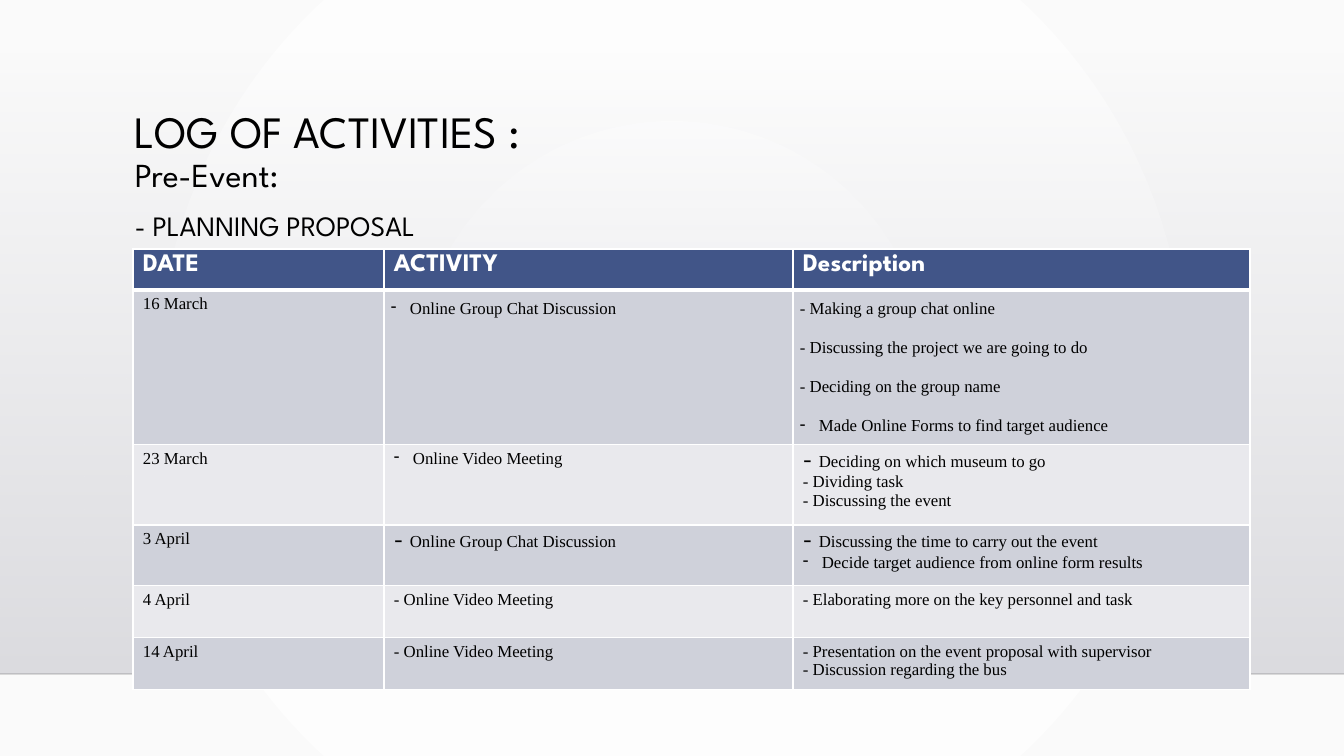
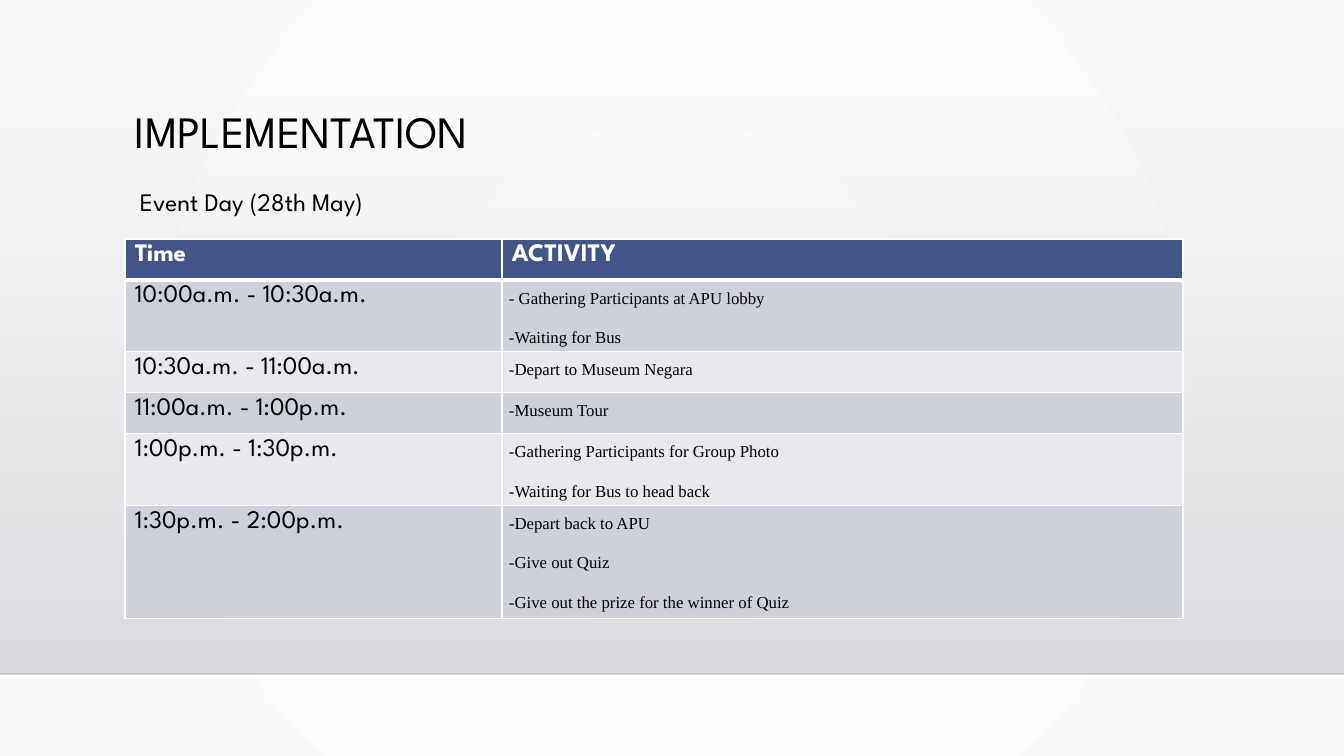
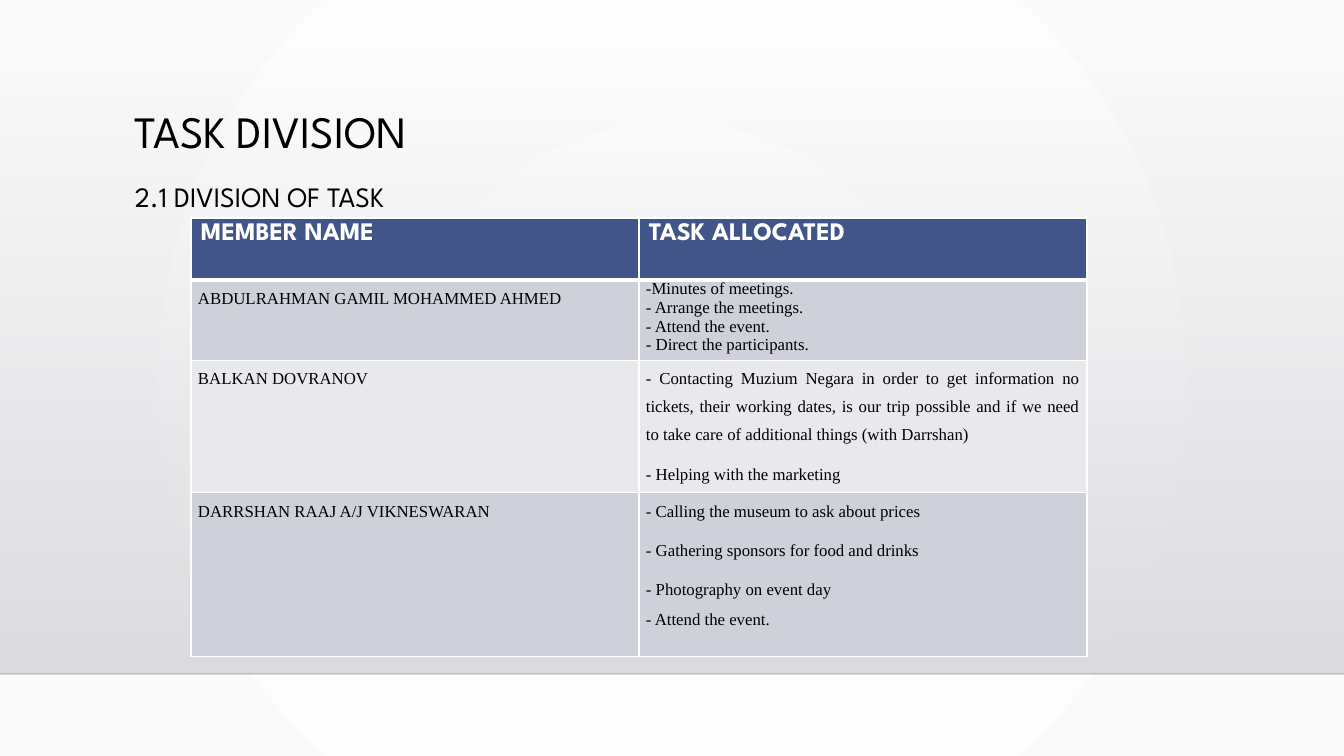
from collections import namedtuple

from lxml import etree
from pptx import Presentation
from pptx.dml.color import RGBColor
from pptx.enum.shapes import MSO_CONNECTOR, MSO_SHAPE
from pptx.enum.text import MSO_ANCHOR, PP_ALIGN
from pptx.oxml.ns import qn
from pptx.util import Emu, Pt

RECTANGLE = MSO_SHAPE.RECTANGLE
STRAIGHT = MSO_CONNECTOR.STRAIGHT
TOP = MSO_ANCHOR.TOP
JUSTIFY = PP_ALIGN.JUSTIFY

WHITE = RGBColor(0xFF, 0xFF, 0xFF)
BLACK = RGBColor(0x00, 0x00, 0x00)
PAPER = RGBColor(0xFA, 0xFA, 0xFA)
BAND_TOP = RGBColor(0xDC, 0xDC, 0xE0)
BAND_BOTTOM = RGBColor(0xDE, 0xDE, 0xE2)
FLOOR_LINE = RGBColor(0x00, 0x00, 0x01)
HEADER_BLUE = RGBColor(0x41, 0x55, 0x88)
ROW_DARK = RGBColor(0xCF, 0xD1, 0xDA)
ROW_LIGHT = RGBColor(0xE9, 0xE9, 0xED)

DISPLAY = "League Spartan"
SERIF = "Times New Roman"
SLIDE_WIDTH, SLIDE_HEIGHT = 1344, 756
BAND_Y, FLOOR_Y = 51, 674
TITLE_BOX = (125, 105, 1058, 116)

Cell = namedtuple("Cell", "lines tight")


def px(length):
    return Emu(round(length * 914400 / 100.8))


def set_alpha(color_element, percent):
    etree.SubElement(color_element, qn("a:alpha"), val=str(percent * 1000))


def set_gradient(fill, start, end):
    fill.gradient()
    for stop, color, position in zip(fill.gradient_stops, (start, end), (0, 1)):
        stop.color.rgb = color
        stop.position = position


def write_line(paragraph, text, size=12, font=SERIF, color=BLACK, bold=False,
               spacing=None, after=None, align=None, hanging=0, lead=""):
    if spacing:
        paragraph.line_spacing = spacing
    if after:
        paragraph.space_after = Pt(after)
    if align:
        paragraph.alignment = align
    if hanging:
        properties = paragraph._p.get_or_add_pPr()
        properties.set("marL", str(px(hanging)))
        properties.set("indent", str(-px(hanging)))
        etree.SubElement(properties, qn("a:buChar"), char="-")
    pieces = [(lead, DISPLAY, 18)] if lead else []
    for words, typeface, points in pieces + [(text, font, size)]:
        run = paragraph.add_run()
        run.text = words
        run.font.name = typeface
        run.font.size = Pt(points)
        run.font.bold = bold
        run.font.color.rgb = color


def write_lines(frame, lines):
    for index, (text, style) in enumerate(lines):
        paragraph = frame.add_paragraph() if index else frame.paragraphs[0]
        write_line(paragraph, text, **style)


def add_text(slide, box, lines):
    frame = slide.shapes.add_textbox(*map(px, box)).text_frame
    frame.word_wrap = True
    frame.vertical_anchor = TOP
    write_lines(frame, lines)


def set_master_background(master):
    set_gradient(master.background.fill, WHITE, PAPER)
    linear = master.element.find(".//" + qn("p:bg")).find(".//" + qn("a:lin"))
    circle = etree.Element(qn("a:path"), path="circle")
    etree.SubElement(circle, qn("a:fillToRect"), l="50000", t="50000", r="50000", b="50000")
    linear.getparent().replace(linear, circle)


def add_backdrop(slide):
    band = slide.shapes.add_shape(
        RECTANGLE, 0, px(BAND_Y), px(SLIDE_WIDTH), px(FLOOR_Y - BAND_Y))
    band.shadow.inherit = False
    band.line.fill.background()
    set_gradient(band.fill, BAND_TOP, BAND_BOTTOM)
    band.fill.gradient_angle = 270
    set_alpha(band._element.spPr.find(".//" + qn("a:srgbClr")), 0)

    floor = slide.shapes.add_connector(
        STRAIGHT, 0, px(FLOOR_Y), px(SLIDE_WIDTH), px(FLOOR_Y))
    floor.line.color.rgb = FLOOR_LINE
    floor.line.width = Pt(1)
    properties = floor._element.spPr
    set_alpha(properties.find(".//" + qn("a:srgbClr")), 20)
    etree.SubElement(properties, qn("a:effectLst"))


def set_borders(cell, top, bottom):
    properties = cell._tc.get_or_add_tcPr()
    for side, width in (("L", 1), ("R", 1), ("T", top), ("B", bottom)):
        border = etree.SubElement(properties, qn("a:ln" + side), w=str(Pt(width)))
        solid = etree.SubElement(border, qn("a:solidFill"))
        etree.SubElement(solid, qn("a:srgbClr"), val=str(WHITE))


def row_fill(row):
    if row == 0:
        return HEADER_BLUE
    return ROW_DARK if row % 2 else ROW_LIGHT


def add_log_table(slide, left, top, widths, heights, rows):
    table = slide.shapes.add_table(
        len(heights), len(widths), px(left), px(top),
        px(sum(widths)), px(sum(heights))).table
    table.first_row = False
    table.horz_banding = False
    for column, width in zip(table.columns, widths):
        column.width = px(width)
    for row, height in zip(table.rows, heights):
        row.height = px(height)
    for r, contents in enumerate(rows):
        for c, content in enumerate(contents):
            cell = table.cell(r, c)
            set_borders(cell, 3 if r == 1 else 1, 3 if r == 0 else 1)
            cell.fill.solid()
            cell.fill.fore_color.rgb = row_fill(r)
            side, edge = (7, 0) if content.tight else (10, 5)
            cell.margin_left = cell.margin_right = px(side)
            cell.margin_top = cell.margin_bottom = px(edge)
            write_lines(cell.text_frame, content.lines)


TITLE = dict(size=32, font=DISPLAY, spacing=0.9)
SUBTITLE = dict(TITLE, size=24)
SECTION = dict(size=20, font=DISPLAY, spacing=1.2)
DISPLAY_18 = dict(size=18, font=DISPLAY)
HEADER = dict(DISPLAY_18, color=WHITE, bold=True)
PLAIN = {}
LOOSE = dict(spacing=1.5, after=8, align=JUSTIFY)
BULLET = dict(hanging=19)
LOOSE_BULLET = dict(LOOSE, **BULLET)
BIG_DASH = dict(lead="- ")


def styled(style, *texts, tight=False):
    return Cell([(text, style) for text in texts], tight)


def plain(*texts, tight=False):
    return styled(PLAIN, *texts, tight=tight)


def loose(*texts):
    return styled(LOOSE, *texts, tight=True)


def header_row(*labels):
    return [styled(HEADER, label) for label in labels]


def start_slide(prs, *title_lines):
    slide = prs.slides.add_slide(prs.slide_layouts[6])
    add_backdrop(slide)
    add_text(slide, TITLE_BOX, title_lines)
    return slide


def build_activity_log(prs):
    slide = start_slide(prs, ("LOG OF ACTIVITIES :", TITLE), ("Pre-Event:", SUBTITLE))
    add_text(slide, (125, 197, 1058, 50), [("- PLANNING PROPOSAL", SECTION)])
    first_description = Cell([
        ("- Making a group chat online", LOOSE),
        ("- Discussing the project we are going to do", LOOSE),
        ("- Deciding on the group name", LOOSE),
        ("Made Online Forms to find target audience", LOOSE_BULLET)], True)
    museum_description = Cell([
        ("Deciding on which museum to go", BIG_DASH),
        ("- Dividing task", PLAIN),
        ("- Discussing the event", PLAIN)], False)
    timing_description = Cell([
        ("Discussing the time to carry out the event", BIG_DASH),
        ("Decide target audience from online form results", BULLET)], False)
    add_log_table(slide, 133, 249, (251, 409, 457), (41, 153, 70, 52, 52, 52), [
        header_row("DATE", "ACTIVITY", "Description"),
        [plain("16 March"),
         styled(LOOSE_BULLET, "Online Group Chat Discussion", tight=True),
         first_description],
        [plain("23 March"), styled(BULLET, "Online Video Meeting"), museum_description],
        [plain("3 April"), styled(BIG_DASH, "Online Group Chat Discussion"),
         timing_description],
        [plain("4 April"), plain("- Online Video Meeting"),
         plain("- Elaborating more on the key personnel and task")],
        [plain("14 April"), plain("- Online Video Meeting"),
         plain("- Presentation on the event proposal with supervisor",
               "- Discussion regarding the bus")],
    ])


def build_event_day(prs):
    slide = start_slide(prs, ("IMPLEMENTATION", TITLE))
    schedule = [
        ("10:00a.m. - 10:30a.m.",
         ["- Gathering Participants at APU lobby", "-Waiting for Bus"]),
        ("10:30a.m. - 11:00a.m.", ["-Depart to Museum Negara"]),
        ("11:00a.m. - 1:00p.m.", ["-Museum Tour"]),
        ("1:00p.m. - 1:30p.m.",
         ["-Gathering Participants for Group Photo", "-Waiting for Bus to head back"]),
        ("1:30p.m. - 2:00p.m.",
         ["-Depart back to APU", "-Give out Quiz",
          "-Give out the prize for the winner of Quiz"]),
    ]
    rows = [header_row("Time", "ACTIVITY")]
    rows += [[styled(DISPLAY_18, time), loose(*steps)] for time, steps in schedule]
    add_log_table(slide, 125, 239, (377, 681), (41, 67, 41, 41, 67, 111), rows)
    add_text(slide, (130, 181, 302, 40), [("Event Day (28th May)", DISPLAY_18)])


def build_task_division(prs):
    slide = start_slide(prs, ("TASK DIVISION", TITLE))
    add_text(slide, (125, 168, 1058, 50), [("2.1 DIVISION OF TASK", SECTION)])
    museum_tasks = Cell([
        ("- Calling the museum to ask about prices", LOOSE),
        ("- Gathering sponsors for food and drinks", LOOSE),
        ("- Photography on event day", LOOSE),
        ("- Attend the event.", PLAIN)], True)
    add_log_table(slide, 191, 218, (448, 448), (62, 75, 123, 164), [
        header_row("MEMBER NAME", "TASK ALLOCATED"),
        [loose("ABDULRAHMAN GAMIL MOHAMMED AHMED"),
         plain("-Minutes of meetings.", "- Arrange the meetings.",
               "- Attend the event.", "- Direct the participants.", tight=True)],
        [loose("BALKAN DOVRANOV"),
         loose("- Contacting Muzium Negara in order to get information no tickets, "
               "their working dates, is our trip possible and if we need to take care "
               "of additional things (with Darrshan)",
               "- Helping with the marketing")],
        [loose("DARRSHAN RAAJ A/J VIKNESWARAN"), museum_tasks],
    ])


def main():
    prs = Presentation()
    prs.slide_width = px(SLIDE_WIDTH)
    prs.slide_height = px(SLIDE_HEIGHT)
    set_master_background(prs.slide_master)
    build_activity_log(prs)
    build_event_day(prs)
    build_task_division(prs)
    prs.save("out.pptx")


if __name__ == "__main__":
    main()
